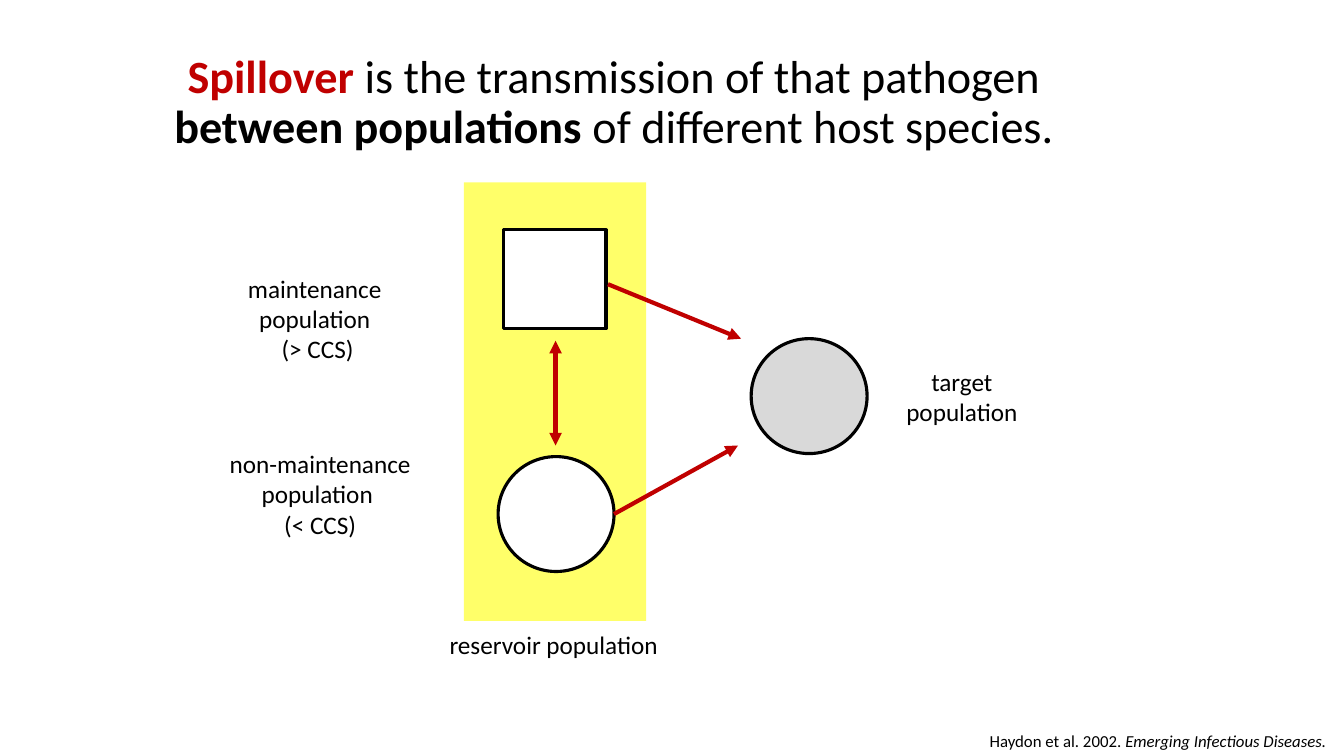
from lxml import etree
from pptx import Presentation
from pptx import util as u
from pptx.dml.color import RGBColor
from pptx.enum import shapes, text
from pptx.oxml.ns import qn

BLACK, WHITE, RED = "000000", "FFFFFF", "C00000"
YELLOW, GREY = "FFFF00", "D9D9D9"
SQUARE = shapes.MSO_SHAPE.RECTANGLE
CIRCLE = shapes.MSO_SHAPE.OVAL


def paint(color_format, hex_color):
    color_format.rgb = RGBColor.from_string(hex_color)


def add_population(slide, kind, left, top, width, height, fill,
                   outline=BLACK, opacity=None):
    population = slide.shapes.add_shape(
        kind, *map(u.Inches, (left, top, width, height)))
    population.shadow.inherit = False
    population.fill.solid()
    paint(population.fill.fore_color, fill)
    if opacity is not None:
        color = population.fill._xPr.find(qn("a:solidFill"))[0]
        etree.SubElement(color, qn("a:alpha"), val=str(opacity * 1000))
    if outline:
        paint(population.line.color, outline)
        population.line.width = u.Pt(2.25)
    else:
        population.line.fill.background()


def add_transmission(slide, start, end, both_ways=False):
    arrow = slide.shapes.add_connector(
        shapes.MSO_CONNECTOR.STRAIGHT, *map(u.Inches, (*start, *end)))
    paint(arrow.line.color, RED)
    arrow.line.width = u.Pt(3)
    line = arrow.line._get_or_add_ln()
    for tag in ["a:headEnd", "a:tailEnd"] if both_ways else ["a:tailEnd"]:
        etree.SubElement(line, qn(tag), type="triangle")
    etree.SubElement(arrow._element.spPr, qn("a:effectLst"))


def add_text(slide, left, top, width, height, *paragraphs, size=18,
             spacing=None, anchor=text.MSO_ANCHOR.TOP):
    """Each paragraph is a list of (wording, format) runs."""
    box = slide.shapes.add_textbox(
        *map(u.Inches, (left, top, width, height)))
    frame = box.text_frame
    frame.word_wrap = True
    frame.vertical_anchor = anchor
    for index, runs in enumerate(paragraphs):
        paragraph = frame.add_paragraph() if index else frame.paragraphs[0]
        paragraph.alignment = text.PP_ALIGN.CENTER
        paragraph.line_spacing = spacing
        for wording, style in runs:
            run = paragraph.add_run()
            run.text = wording
            run.font.name = "Calibri"
            run.font.size = u.Pt(size)
            run.font.bold = style.get("bold", False)
            run.font.italic = style.get("italic", False)
            paint(run.font.color, style.get("color", BLACK))


def main():
    deck = Presentation()
    deck.slide_width, deck.slide_height = u.Inches(13.33), u.Inches(7.5)
    slide = deck.slides.add_slide(deck.slide_layouts[6])

    # Reservoir band behind the populations
    add_population(slide, SQUARE, 4.6, 1.81, 1.81, 4.35, YELLOW,
                   outline=None, opacity=59)

    # Definition
    add_text(slide, 1.29, 0.3, 9.6, 1.45,
             [("Spillover", {"bold": True, "color": RED}),
              (" is the transmission of that pathogen ", {}),
              ("between populations", {"bold": True}),
              (" of different host species.", {})],
             size=33, spacing=0.9, anchor=text.MSO_ANCHOR.MIDDLE)

    # Target, maintenance and non-maintenance populations
    add_population(slide, CIRCLE, 7.45, 3.36, 1.15, 1.14, GREY)
    add_population(slide, SQUARE, 4.99, 2.28, 1.02, 0.98, WHITE)
    add_population(slide, CIRCLE, 4.94, 4.53, 1.15, 1.14, WHITE)

    # Transmission routes
    add_transmission(slide, (6.03, 2.82), (7.35, 3.36))
    add_transmission(slide, (6.09, 5.1), (7.32, 4.42))
    add_transmission(slide, (5.51, 3.38), (5.51, 4.42), both_ways=True)

    # Population labels
    labels = [
        (8.6, 3.58, 1.88, 0.71, ["target population"]),
        (4.31, 6.19, 2.42, 0.4, ["reservoir population "]),
        (1.67, 2.66, 2.96, 1.01, ["maintenance ", "population ", "(> CCS)"]),
        (2.07, 4.4, 2.21, 1.01, ["non-maintenance population ", "(< CCS)"]),
    ]
    for *place, lines in labels:
        add_text(slide, *place, *[[(line, {})] for line in lines])

    # Citation
    add_text(slide, 9.64, 7.2, 3.69, 0.3,
             [("Haydon et al. 2002. ", {}),
              ("Emerging Infectious Diseases.", {"italic": True})],
             size=12)

    deck.save("out.pptx")


if __name__ == "__main__":
    main()
